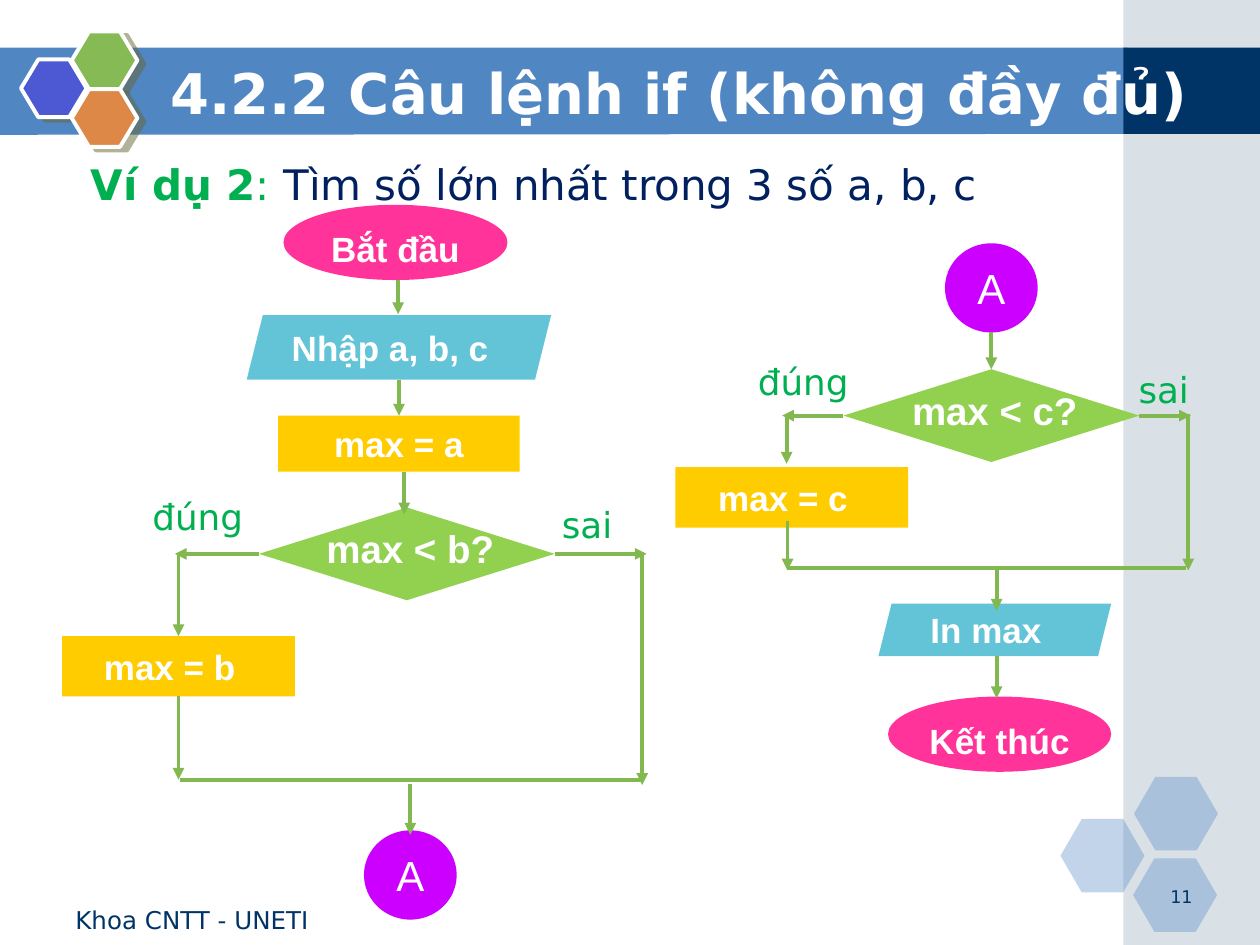
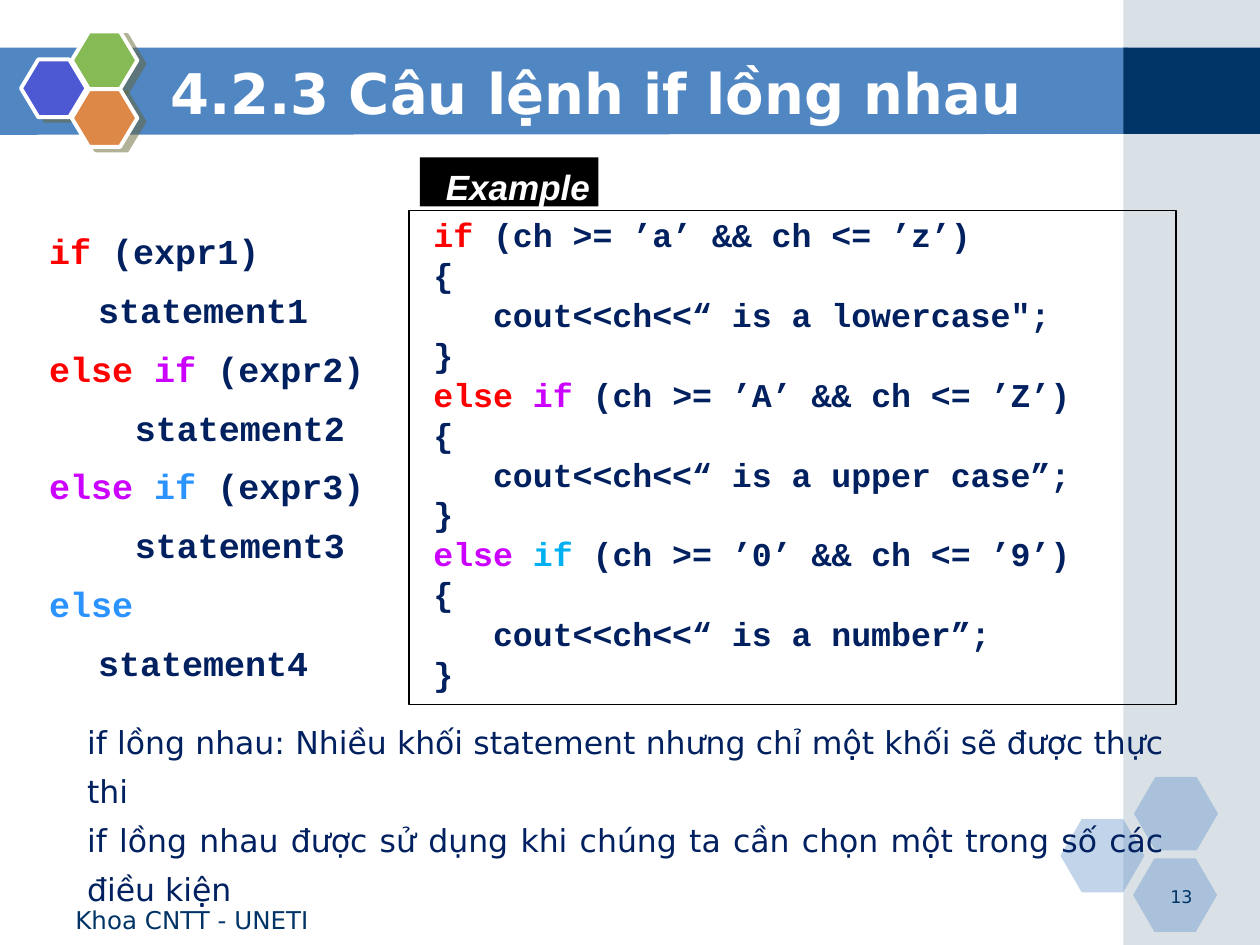
from lxml.etree import SubElement
from pptx import Presentation
from pptx.dml.color import RGBColor
from pptx.enum.shapes import MSO_CONNECTOR, MSO_SHAPE
from pptx.enum.text import MSO_ANCHOR, MSO_AUTO_SIZE, PP_ALIGN
from pptx.oxml.ns import qn
from pptx.util import Pt

WHITE = RGBColor(0xFF, 0xFF, 0xFF)
BLACK = RGBColor(0x00, 0x00, 0x00)
BAND = RGBColor(0x50, 0x86, 0xC2)
SIDE = RGBColor(0xA0, 0xB5, 0xC4)
DEEP = RGBColor(0x00, 0x33, 0x66)
NAVY = RGBColor(0x00, 0x20, 0x60)
INDIGO = RGBColor(0x4C, 0x59, 0xD2)
LEAF = RGBColor(0x85, 0xBA, 0x54)
ORANGE = RGBColor(0xDE, 0x88, 0x48)
GREEN = RGBColor(0x00, 0xB0, 0x50)
ARROW = RGBColor(0x82, 0xB8, 0x50)
PINK = RGBColor(0xFF, 0x33, 0x99)
TEAL = RGBColor(0x63, 0xC4, 0xD7)
LIME = RGBColor(0x92, 0xD0, 0x50)
YELLOW = RGBColor(0xFF, 0xCC, 0x00)
RED = RGBColor(0xFF, 0x00, 0x00)
PURPLE = RGBColor(0xCC, 0x00, 0xFF)
SKY = RGBColor(0x2B, 0x93, 0xFF)
CYAN = RGBColor(0x00, 0xB0, 0xF0)
SHADOW = "666633"

SANS, ARIAL, MONO = "DejaVu Sans", "Arial", "Courier New"
FOOTER = "Khoa CNTT - UNETI"

# Left, top, width, height of the hexagons
CORNER_HEXAGONS = [(606, 468), (648, 444), (647.5, 490.5)]
EMBLEM_HEXAGONS = [(12, 34, INDIGO), (41, 18, LEAF), (41, 51, ORANGE)]

MAX_SLIDE = {
    "title": "4.2.2 Câu lệnh if (không đầy đủ)",
    "number": "11",
    "body": [[("Ví dụ 2", GREEN, True), (": ", GREEN, False),
              ("Tìm số lớn nhất trong 3 số a, b, c", NAVY, False)]],
    "body_box": (36, 78.5, 652, 448),
    "body_size": 24,
}
NESTED_SLIDE = {
    "title": "4.2.3 Câu lệnh if lồng nhau",
    "number": "13",
    "body": [
        [("if lồng nhau: Nhiều khối statement nhưng chỉ một khối sẽ được thực thi",
          NAVY, False)],
        [("if lồng nhau được sử dụng khi chúng ta cần chọn một trong số các điều kiện",
          NAVY, False)],
    ],
    "body_box": (34, 403, 638.5, 122.5),
    "body_size": 18,
}

# Kind of step: preset, fill, text size, bold, shift of the text (right, down)
STEP_STYLES = {
    "terminal": (MSO_SHAPE.OVAL, PINK, 20, True, (0, 3.5)),
    "data": (MSO_SHAPE.PARALLELOGRAM, TEAL, 20, True, (-5, 0)),
    "init": (MSO_SHAPE.RECTANGLE, YELLOW, 20, True, (0, 0)),
    "update": (MSO_SHAPE.RECTANGLE, YELLOW, 20, True, (-5, 0)),
    "decision": (MSO_SHAPE.DIAMOND, LIME, 22, True, (2, -3)),
    "link": (MSO_SHAPE.OVAL, PURPLE, 24, False, (0, 0)),
}
STEPS = {
    "start": ("terminal", "Bắt đầu", (162, 117, 128, 43)),
    "input": ("data", "Nhập a, b, c", (141, 180, 174, 37)),
    "set a": ("init", "max = a", (159, 237.5, 138, 32)),
    "test b": ("decision", "max < b?", (148, 290, 169, 53)),
    "set b": ("update", "max = b", (35.5, 363.5, 133, 34.5)),
    "link out": ("link", "A", (208, 474.5, 53, 51)),
    "link in": ("link", "A", (540, 139, 53, 51)),
    "test c": ("decision", "max < c?", (482, 211, 169, 53)),
    "set c": ("update", "max = c", (386, 267, 133, 34.5)),
    "output": ("data", "In max", (502, 345, 133, 30)),
    "end": ("terminal", "Kết thúc", (507.5, 398, 127.5, 43)),
}
TOP, LEFT, BOTTOM, RIGHT = range(4)
# An end is a point, or a step and its side
ARROWS = [
    ((227.5, 160), (227.5, 179.5)),
    ((228, 217), ("set a", TOP)),
    ((231, 269.5), (231, 294)),
    (("test b", LEFT), (100, 316.5)),
    ((102, 316.5), ("set b", TOP)),
    (("set b", BOTTOM), (102, 445.5)),
    (("test b", RIGHT), (369.5, 316.5)),
    ((367, 315.5), (367, 448.5)),
    ((234.5, 448), (234.5, 477)),
    ((566.5, 190), ("test c", TOP)),
    (("test c", LEFT), (447, 237.5)),
    ((449.5, 236.5), (449.5, 265)),
    ((450, 297.5), (450, 326)),
    (("test c", RIGHT), (680.5, 237.5)),
    ((679, 236.5), (679, 326)),
    ((569.5, 324.5), (569.5, 349)),
    ((569.5, 375), (569.5, 399)),
]
JOIN_LINES = [((103, 445.5), (367, 445.5)), ((449.5, 324.5), (678, 324.5))]
BRANCH_LABELS = [("đúng", 80, 277), ("sai", 314, 281.5),
                 ("đúng", 426, 199.5), ("sai", 643.5, 204)]

# Indent, then runs
SYNTAX = [
    (0, [("if ", RED), ("(expr1)", NAVY)]),
    (28, [("statement1", NAVY)]),
    (0, [("else ", RED), ("if", PURPLE), (" (expr2)", NAVY)]),
    (49, [("statement2", NAVY)]),
    (0, [("else ", PURPLE), ("if", SKY), (" (expr3)", NAVY)]),
    (49, [("statement3", NAVY)]),
    (0, [("else", SKY)]),
    (28, [("statement4", NAVY)]),
]
BRANCHES = [
    ([("if", RED), (" (ch >= ’a’ && ch <= ’z’)", NAVY)],
     "   cout<<ch<<“ is a lowercase\";"),
    ([("else ", RED), ("if ", PURPLE), ("(ch >= ’A’ && ch <= ’Z’)", NAVY)],
     "   cout<<ch<<“ is a upper case”;"),
    ([("else ", PURPLE), ("if", CYAN), (" (ch >= ’0’ && ch <= ’9’)", NAVY)],
     "   cout<<ch<<“ is a number”;"),
]


def points(*values):
    return [Pt(value) for value in values]


def style_font(font, face, size, color, bold=False):
    font.name, font.size, font.bold = face, Pt(size), bold
    font.color.rgb = color


def write_runs(paragraph, pieces, face, size):
    """Add (text, colour, bold) runs; bold is the default."""
    for text, color, *bold in pieces:
        run = paragraph.add_run()
        run.text = text
        style_font(run.font, face, size, color, bold[0] if bold else True)


def paragraph_at(frame, index):
    return frame.add_paragraph() if index else frame.paragraphs[0]


def set_margins(frame, left=0, top=0, right=0, bottom=0):
    frame.margin_left, frame.margin_top = Pt(left), Pt(top)
    frame.margin_right, frame.margin_bottom = Pt(right), Pt(bottom)


def add_filled(slide, preset, box, fill, alpha=None):
    shape = slide.shapes.add_shape(preset, *points(*box))
    paint(shape, fill, alpha)
    return shape


def paint(shape, fill, alpha=None):
    shape.shadow.inherit = False
    shape.fill.solid()
    shape.fill.fore_color.rgb = fill
    shape.line.fill.background()
    if alpha:
        color = shape._element.spPr.find(qn("a:solidFill"))[0]
        SubElement(color, qn("a:alpha"), val=str(alpha * 1000))


def write_centred(shape, text, size, bold, shift):
    """Write white text, moved from the centre by (right, down)."""
    right, down = shift
    frame = shape.text_frame
    frame.word_wrap = False
    frame.vertical_anchor = MSO_ANCHOR.MIDDLE
    set_margins(frame, max(2 * right, 0), max(2 * down, 0),
                max(-2 * right, 0), max(-2 * down, 0))
    frame.text = text
    frame.paragraphs[0].alignment = PP_ALIGN.CENTER
    style_font(frame.paragraphs[0].runs[0].font, ARIAL, size, WHITE, bold)


def add_label(slide, text, box, size, color, align=PP_ALIGN.LEFT, spacing=1.0):
    frame = slide.shapes.add_textbox(*points(*box)).text_frame
    frame.word_wrap = True
    frame.text = text
    paragraph = frame.paragraphs[0]
    paragraph.alignment, paragraph.line_spacing = align, spacing
    style_font(paragraph.runs[0].font, SANS, size, color)


def decorate_layout(slide, layout):
    """Draw the shared background on a slide and move it to the layout."""
    outline = slide.shapes.build_freeform(Pt(0), Pt(27.2), scale=1.0)
    outline.add_line_segments([points(644.5, 27.2), points(644.5, 76.5), points(0, 77)])
    band = outline.convert_to_shape()
    paint(band, BAND)
    parts = [band,
             add_filled(slide, MSO_SHAPE.RECTANGLE, (642, 0, 78, 540), SIDE, 40),
             add_filled(slide, MSO_SHAPE.RECTANGLE, (642, 27.2, 78, 49.3), DEEP)]
    for left, top in CORNER_HEXAGONS:
        hexagon = add_filled(slide, MSO_SHAPE.HEXAGON, (left, top, 48, 42), BAND, 35)
        hexagon.adjustments[0] = 0.29
        parts.append(hexagon)
    for left, top, color in EMBLEM_HEXAGONS:
        hexagon = add_filled(slide, MSO_SHAPE.HEXAGON, (left, top, 37.5, 33), color)
        hexagon.adjustments[0] = 0.3
        hexagon.line.color.rgb, hexagon.line.width = WHITE, Pt(2.25)
        effects = hexagon._element.spPr.find(qn("a:effectLst"))
        shadow = SubElement(effects, qn("a:outerShdw"), blurRad="0",
                            dist=str(Pt(4.5)), dir=str(27 * 60000), rotWithShape="0")
        tint = SubElement(shadow, qn("a:srgbClr"), val=SHADOW)
        SubElement(tint, qn("a:alpha"), val="50000")
        parts.append(hexagon)
    for number, part in enumerate(parts, 100):
        part._element.nvSpPr.cNvPr.set("id", str(number))
        layout.shapes._spTree.append(part._element)


def fill_slide(slide, content):
    """Set the title, the body, the footer and the number."""
    title, body = slide.shapes.title, slide.placeholders[1]
    for holder, box in ((title, (90, 30, 621, 45)), (body, content["body_box"])):
        holder.left, holder.top, holder.width, holder.height = points(*box)
        holder.text_frame.auto_size = MSO_AUTO_SIZE.NONE
    title.text_frame.text = content["title"]
    title.text_frame.vertical_anchor = MSO_ANCHOR.MIDDLE
    heading = title.text_frame.paragraphs[0]
    heading.alignment = PP_ALIGN.LEFT
    style_font(heading.runs[0].font, SANS, 32, WHITE, True)

    for index, pieces in enumerate(content["body"]):
        paragraph = paragraph_at(body.text_frame, index)
        paragraph.alignment, paragraph.line_spacing = PP_ALIGN.JUSTIFY, 1.3
        paragraph.space_before = Pt(0)
        properties = paragraph._p.get_or_add_pPr()
        properties.set("marL", str(Pt(8.6)))
        properties.set("indent", "0")
        SubElement(properties, qn("a:buNone"))
        write_runs(paragraph, pieces, SANS, content["body_size"])

    add_label(slide, FOOTER, (36, 513.5, 168, 19.5), 14, DEEP)
    add_label(slide, content["number"], (652.5, 502.5, 36, 18), 10, DEEP, PP_ALIGN.RIGHT)


def add_line(slide, steps, begin, end, arrow):
    joined = [isinstance(place[0], str) for place in (begin, end)]
    start, stop = [(0, 0) if is_step else place
                   for is_step, place in zip(joined, (begin, end))]
    line = slide.shapes.add_connector(MSO_CONNECTOR.STRAIGHT, *points(*start, *stop))
    if joined[0]:
        line.begin_connect(steps[begin[0]], begin[1])
    if joined[1]:
        line.end_connect(steps[end[0]], end[1])
    line.line.color.rgb, line.line.width = ARROW, Pt(2.25)
    if arrow:
        SubElement(line.line._get_or_add_ln(), qn("a:tailEnd"), type="triangle")
    SubElement(line._element.spPr, qn("a:effectLst"))


def draw_flowchart(slide):
    steps = {}
    for key, (kind, text, box) in STEPS.items():
        preset, fill, size, bold, shift = STEP_STYLES[kind]
        steps[key] = add_filled(slide, preset, box, fill)
        write_centred(steps[key], text, size, bold, shift)
    for begin, end in ARROWS:
        add_line(slide, steps, begin, end, True)
    for begin, end in JOIN_LINES:
        add_line(slide, steps, begin, end, False)
    for text, left, top in BRANCH_LABELS:
        add_label(slide, text, (left, top, 68.5, 35), 20.4, GREEN, spacing=1.1)


def draw_code(slide):
    syntax = slide.shapes.add_textbox(*points(28, 121, 184, 270)).text_frame
    syntax.word_wrap = False
    set_margins(syntax, top=0.7)
    for index, (indent, pieces) in enumerate(SYNTAX):
        paragraph = paragraph_at(syntax, index)
        paragraph.line_spacing = 1.4
        paragraph._p.get_or_add_pPr().set("marL", str(Pt(indent)))
        write_runs(paragraph, pieces, MONO, 20)

    example = slide.shapes.add_shape(MSO_SHAPE.RECTANGLE, *points(233.7, 120.3, 438.3, 282.2))
    example.shadow.inherit = False
    example.fill.background()
    example.line.color.rgb, example.line.width = BLACK, Pt(0.75)
    frame = example.text_frame
    frame.word_wrap = True
    frame.vertical_anchor = MSO_ANCHOR.TOP
    set_margins(frame, left=14, top=2.3)
    lines = [line for condition, action in BRANCHES
             for line in (condition, [("{", NAVY)], [(action, NAVY)], [("}", NAVY)])]
    for index, pieces in enumerate(lines):
        paragraph = paragraph_at(frame, index)
        paragraph.alignment = PP_ALIGN.LEFT
        write_runs(paragraph, pieces, MONO, 19)

    tag = add_filled(slide, MSO_SHAPE.RECTANGLE, (240, 90, 102, 28), BLACK)
    write_centred(tag, "Example", 20, True, (5, 2.5))
    tag.text_frame.paragraphs[0].runs[0].font.italic = True


def main():
    deck = Presentation()
    deck.slide_width, deck.slide_height = Pt(720), Pt(540)
    layout = deck.slide_layouts[1]
    max_slide, nested_slide = [deck.slides.add_slide(layout) for _ in range(2)]
    decorate_layout(max_slide, layout)
    fill_slide(max_slide, MAX_SLIDE)
    draw_flowchart(max_slide)
    fill_slide(nested_slide, NESTED_SLIDE)
    draw_code(nested_slide)
    deck.save("out.pptx")


if __name__ == "__main__":
    main()
